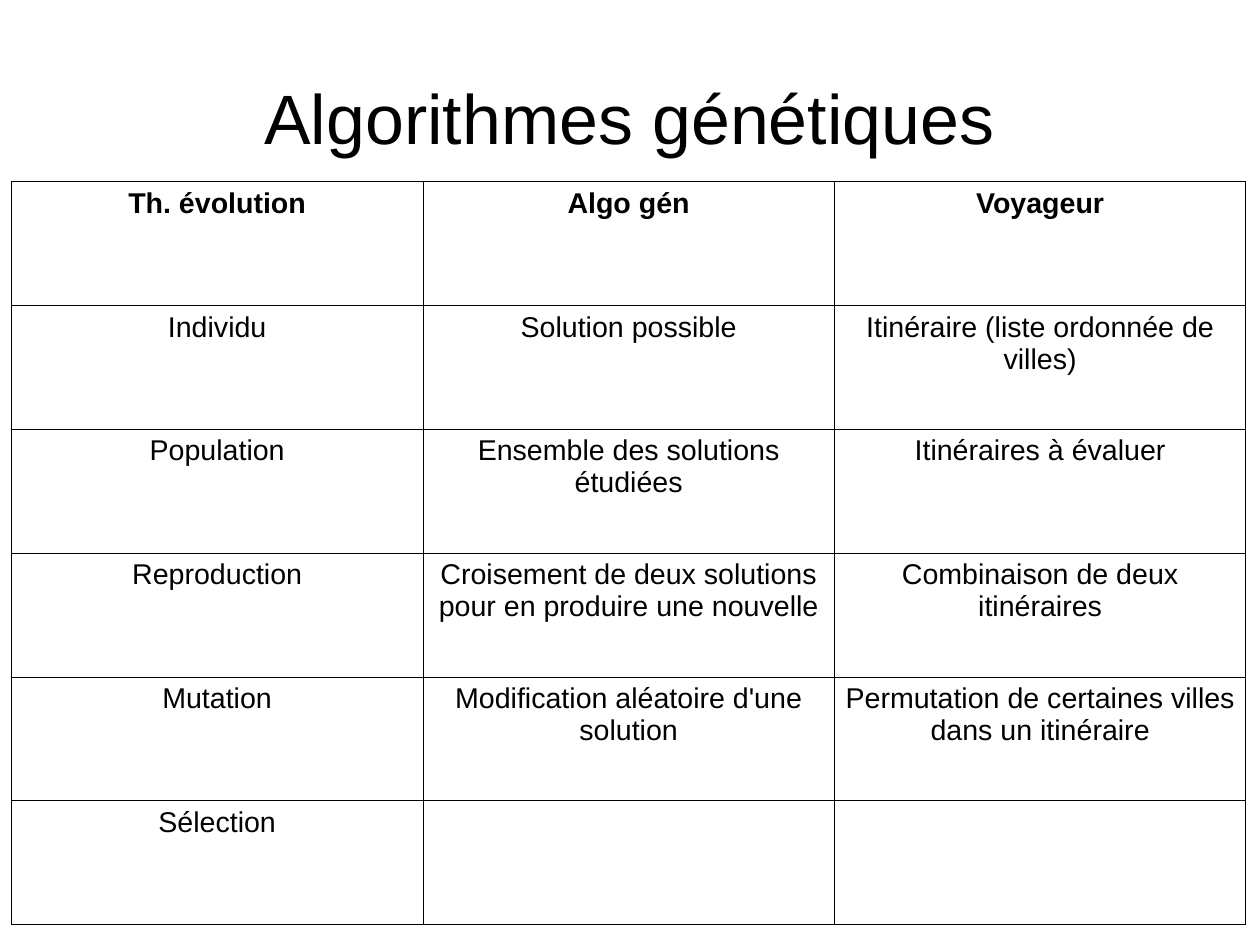
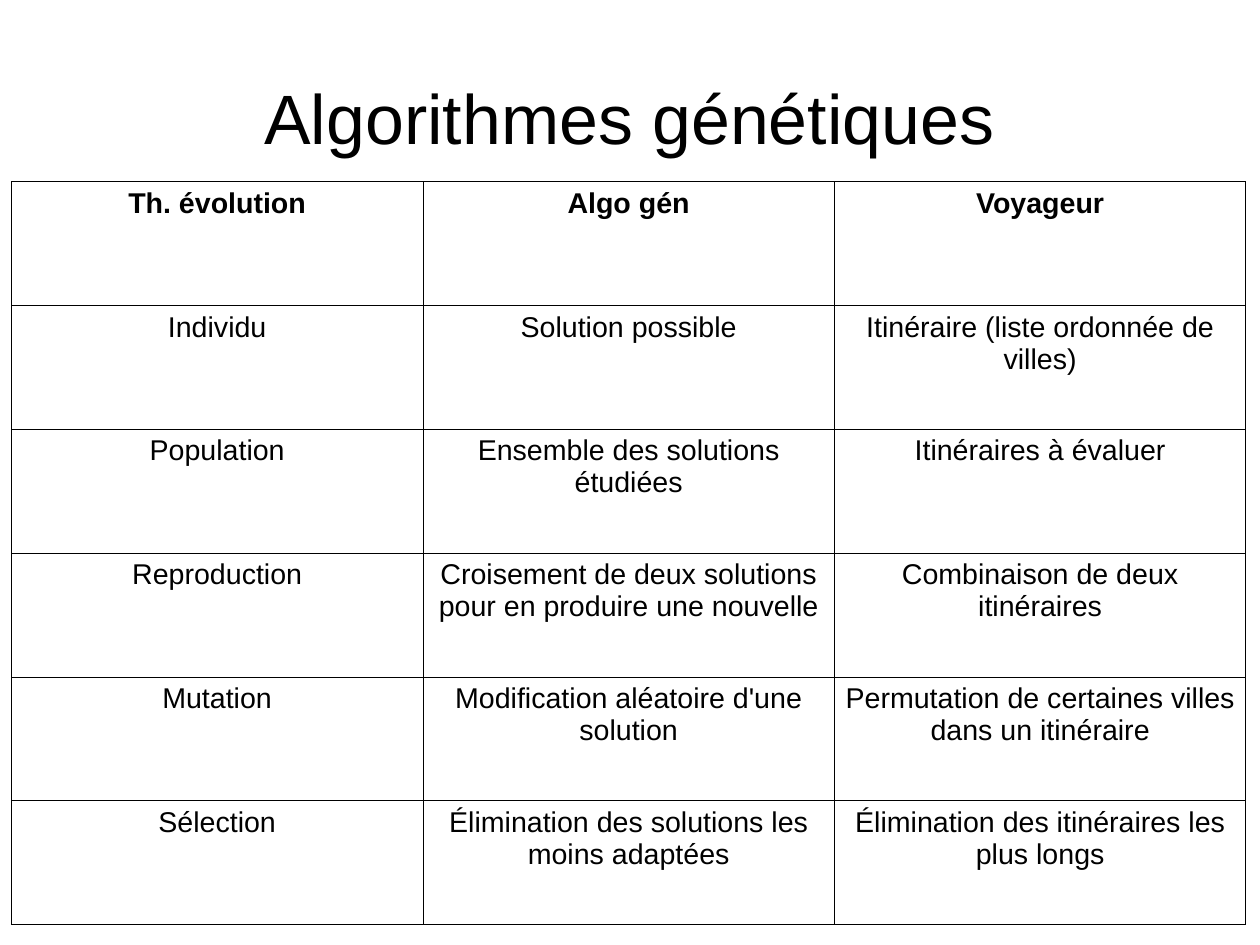
from dataclasses import dataclass

from lxml.etree import SubElement
from pptx import Presentation
from pptx.dml.color import RGBColor
from pptx.enum.text import MSO_ANCHOR, PP_ALIGN
from pptx.oxml.ns import qn
from pptx.util import Inches, Pt


@dataclass(frozen=True)
class Theme:
    font: str = "Arial"
    ink: str = "000000"
    paper: str = "FFFFFF"
    title_size: int = 44
    cell_size: int = 18
    border_width: float = 0.57


@dataclass(frozen=True)
class Box:
    left: float
    top: float
    width: float
    height: float

    def lengths(self):
        return [Inches(n) for n in (self.left, self.top, self.width, self.height)]


THEME = Theme()
CM_PER_INCH = 2.54
TITLE_BOX = Box(0.55, 0.33, 9.92, 1.38)
TABLE_BOX = Box(0.1, 1.59, 10.8, 6.5)

TITLE = "Algorithmes génétiques"
HEADER = ("Th. évolution", "Algo gén", "Voyageur")
CONCEPTS = [
    ("Individu", "Solution possible", "Itinéraire (liste ordonnée de villes)"),
    ("Population", "Ensemble des solutions étudiées", "Itinéraires à évaluer"),
    ("Reproduction", "Croisement de deux solutions pour en produire une nouvelle",
     "Combinaison de deux itinéraires"),
    ("Mutation", "Modification aléatoire d'une solution",
     "Permutation de certaines villes dans un itinéraire"),
]
SELECTION_OPEN = ("Sélection", "", "")
SELECTION_ANSWERED = ("Sélection", "Élimination des solutions les moins adaptées",
                      "Élimination des itinéraires les plus longs")


def write_centred(text_frame, text, size, bold=False):
    paragraph = text_frame.paragraphs[0]
    paragraph.alignment = PP_ALIGN.CENTER
    run = paragraph.add_run()
    run.text = text
    run.font.name = THEME.font
    run.font.size = Pt(size)
    run.font.bold = bold
    run.font.color.rgb = RGBColor.from_string(THEME.ink)


def add_title(slide, box, text):
    text_frame = slide.shapes.add_textbox(*box.lengths()).text_frame
    text_frame.word_wrap = True
    text_frame.vertical_anchor = MSO_ANCHOR.MIDDLE
    text_frame.margin_left = text_frame.margin_right = 0
    text_frame.margin_top = text_frame.margin_bottom = 0
    write_centred(text_frame, text, THEME.title_size)


def add_borders(cell):
    # Border elements must precede the fill, so they are added first
    properties = cell._tc.get_or_add_tcPr()
    for side in ("lnL", "lnR", "lnT", "lnB"):
        line = SubElement(properties, qn(f"a:{side}"), w=str(Pt(THEME.border_width)))
        fill = SubElement(line, qn("a:solidFill"))
        SubElement(fill, qn("a:srgbClr"), val=THEME.ink)


def add_comparison_table(slide, box, rows):
    table = slide.shapes.add_table(len(rows), len(rows[0]), *box.lengths()).table
    table.first_row = table.horz_banding = False
    for column in table.columns:
        column.width = Inches(box.width / len(rows[0]))
    for row in table.rows:
        row.height = Inches(box.height / len(rows))

    for row_index, texts in enumerate(rows):
        for column_index, text in enumerate(texts):
            cell = table.cell(row_index, column_index)
            add_borders(cell)
            cell.fill.background()
            cell.margin_left = cell.margin_right = Inches(0.09)
            cell.margin_top = cell.margin_bottom = Inches(0.05)
            if text:
                write_centred(cell.text_frame, text, THEME.cell_size, bold=row_index == 0)


def add_comparison_slide(presentation, selection):
    slide = presentation.slides.add_slide(presentation.slide_layouts[6])
    background = slide.background.fill
    background.solid()
    background.fore_color.rgb = RGBColor.from_string(THEME.paper)
    add_title(slide, TITLE_BOX, TITLE)
    add_comparison_table(slide, TABLE_BOX, [HEADER, *CONCEPTS, selection])


def main():
    presentation = Presentation()
    # The page measures 28 by 21 centimetres
    presentation.slide_width = Inches(28 / CM_PER_INCH)
    presentation.slide_height = Inches(21 / CM_PER_INCH)
    # The selection row is first left open, then answered
    for selection in (SELECTION_OPEN, SELECTION_ANSWERED):
        add_comparison_slide(presentation, selection)
    presentation.save("out.pptx")


if __name__ == "__main__":
    main()
